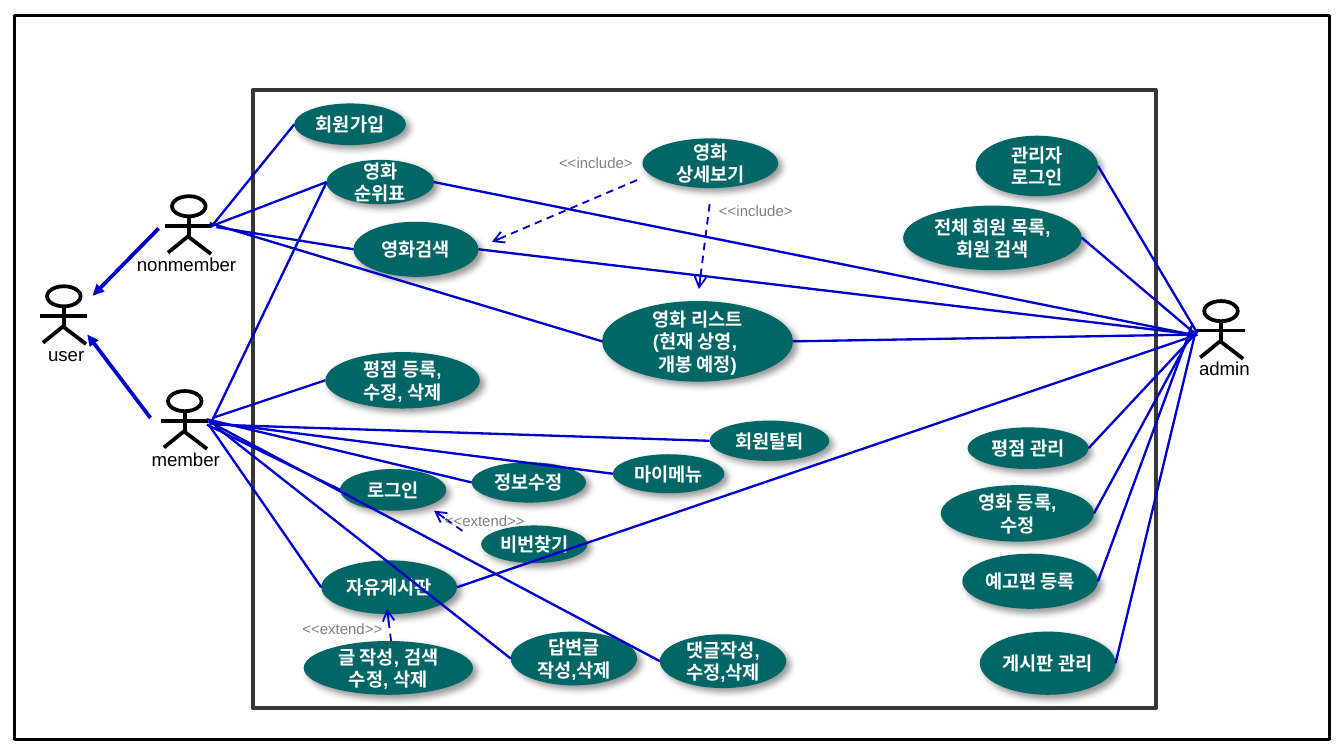
from lxml import etree
from pptx import Presentation
from pptx import util as u
from pptx.dml.color import RGBColor
from pptx.enum import dml, shapes, text
from pptx.oxml.ns import qn

SLIDE_W = u.Inches(10)
SLIDE_H = SLIDE_W * 9 // 16
COLS = 100
ROWS = COLS * 9 / 16
FONT = "Arial"
COLORS = {
    "ink": "000000",
    "boundary": "373737",
    "case": "006666",
    "case_text": "FFFFFF",
    "link": "0000CC",
    "stereotype": "808080",
}

USE_CASES = {
    "join": (21.9, 7.7, 8.3, 3.1, ["회원가입"]),
    "login": (25.3, 34.9, 7.9, 3.1, ["로그인"]),
    "find_password": (35.8, 39.1, 7.9, 2.8, ["비번찾기"]),
    "edit_info": (35.1, 34.4, 8.5, 3, ["정보수정"]),
    "leave": (52.8, 31.3, 8.9, 3, ["회원탈퇴"]),
    "search": (26.3, 16.5, 9.3, 4.1, ["영화검색"]),
    "detail": (47.8, 10.3, 10.1, 3.7, ["영화", "상세보기"]),
    "board": (23.9, 41.7, 10.1, 4, ["자유게시판"]),
    "movies": (44.8, 22.4, 14.2, 6, ["영화 리스트", "(현재 상영, ", "개봉 예정)"]),
    "rating": (24.2, 26.2, 11.5, 4.2, ["평점 등록, 수정, 삭제"]),
    "comment": (49.1, 47.2, 9.4, 4, ["댓글작성,", "수정,삭제"]),
    "add_movie": (70, 36.1, 11.4, 4.2, ["영화 등록, 수정"]),
    "manage_board": (72.9, 47, 10.1, 4.7, ["게시판 관리"]),
    "members": (67.2, 15.3, 13.3, 4.8, ["전체 회원 목록, 회원 검색"]),
    "manage_rating": (72, 31.8, 9, 3.1, ["평점 관리"]),
    "ranking": (24.3, 11.9, 8, 3.3, ["영화 순위표"]),
    "reply": (38, 47, 9.4, 4, ["답변글", "작성,삭제"]),
    "my_menu": (45.6, 33.8, 8.3, 2.9, ["마이메뉴"]),
    "write": (22.6, 47.7, 12.6, 4, ["글 작성, 검색 수정, 삭제"]),
    "trailer": (71.6, 41.2, 10.1, 4.1, ["예고편 등록"]),
    "admin_login": (72.6, 10.1, 9.1, 4.5, ["관리자 로그인"]),
}

ACTORS = [
    ("member", 12.5, 29.1, -2.2, 7.3),
    ("nonmember", 12.8, 14.6, -3.6, 9.8),
    ("user", 3.5, 21.3, -0.9, 4.7),
    ("admin", 89.6, 22.4, -1.4, 5.8),
]
LIMBS = [
    (-0.5, 2.2, 3, 2.2),
    (1.25, 1.5, 1.25, 3.2),
    (1.2, 3, 2.9, 4.3),
    (1.3, 2.9, -0.3, 4.2),
]

VISITOR_LINKS = [
    (15.7, 16.9, "join"), (15.8, 16.8, "ranking"),
    (16.1, 16.9, "search"), (15.6, 16.6, "movies"),
    (15.4, 31.6, "login"), (15.4, 31.2, "edit_info"),
    (15.5, 31.4, "my_menu"), (15.6, 31.7, "ranking"),
    (15.8, 31.1, "rating"), (15.6, 31.7, "board"),
    (16, 31.7, "reply"), (15.6, 31.4, "comment"),
    (16, 31.6, "leave"),
]
ADMIN_LINKS = [
    (89.1, 24.9, "board"), (88.2, 24.8, "ranking"),
    (89, 24.9, "members"), (89.1, 24.8, "admin_login"),
    (88.9, 24.9, "manage_rating"), (88.8, 24.6, "add_movie"),
    (88.7, 24.2, "trailer"), (89, 24.5, "manage_board"),
    (88.7, 24.9, "movies"), (89, 24.9, "search"),
]
GENERALIZATIONS = [(11.8, 17, 6.9, 22), (11.2, 31.1, 6.5, 24.9)]
DEPENDENCIES = [
    (34.4, 39.5, 32.3, 38),
    (52.8, 15.2, 52, 21.5),
    (47.4, 13.4, 36.6, 18),
    (29.1, 47.7, 28.8, 45.3),
]
STEREOTYPES = [
    (41.6, 11.4, 6, "<<include>"),
    (53.5, 15, 6, "<<include>"),
    (33.1, 38.1, 6.6, "<<extend>>"),
    (22.5, 46.1, 6.6, "<<extend>>"),
]


def col(n):
    return round(SLIDE_W * n / COLS)


def row(n):
    return round(SLIDE_H * n / ROWS)


def rgb(name):
    return RGBColor.from_string(COLORS[name])


def add_outline(parent, kind, box, color, width):
    x, y, w, h = box
    sp = parent.add_shape(kind, col(x), row(y), col(w), row(h))
    sp.shadow.inherit = False
    sp.fill.background()
    sp.line.color.rgb = rgb(color)
    sp.line.width = u.Pt(width)


def add_line(parent, ends, color="link", width=1.25, dashed=False, arrow=None):
    x1, y1, x2, y2 = ends
    cx = parent.add_connector(
        shapes.MSO_CONNECTOR.STRAIGHT, col(x1), row(y1), col(x2), row(y2))
    cx.line.color.rgb = rgb(color)
    cx.line.width = u.Pt(width)
    if dashed:
        cx.line.dash_style = dml.MSO_LINE.DASH
    sp_pr = cx._element.spPr
    if arrow:
        etree.SubElement(sp_pr.find(qn("a:ln")), qn("a:tailEnd"), type=arrow)
    etree.SubElement(sp_pr, qn("a:effectLst"))


def add_run(p, words, size, color, bold=False):
    r = p.add_run()
    r.text = words
    r.font.name = FONT
    r.font.size = u.Pt(size)
    r.font.bold = bold
    r.font.color.rgb = rgb(color)


def clear_margins(tf):
    tf.margin_left = tf.margin_right = tf.margin_top = tf.margin_bottom = 0


def add_soft_shadow(sp):
    sp.shadow.inherit = False
    effects = sp._element.spPr.find(qn("a:effectLst"))
    shadow = etree.SubElement(
        effects, qn("a:outerShdw"), blurRad=str(u.Pt(4)), dist=str(u.Pt(3)),
        dir="2700000", algn="tl", rotWithShape="0")
    tint = etree.SubElement(shadow, qn("a:srgbClr"), val=COLORS["ink"])
    etree.SubElement(tint, qn("a:alpha"), val="40000")


def add_use_case(parent, x, y, w, h, lines):
    sp = parent.add_shape(
        shapes.MSO_SHAPE.OVAL, col(x), row(y), col(w), row(h))
    sp.fill.solid()
    sp.fill.fore_color.rgb = rgb("case")
    sp.line.fill.background()
    add_soft_shadow(sp)
    tf = sp.text_frame
    tf.word_wrap = True
    tf.vertical_anchor = text.MSO_ANCHOR.MIDDLE
    clear_margins(tf)
    for i, words in enumerate(lines):
        p = tf.add_paragraph() if i else tf.paragraphs[0]
        p.alignment = text.PP_ALIGN.CENTER
        add_run(p, words, 10, "case_text", bold=True)


def add_label(parent, x, y, w, h, words, size, color):
    sp = parent.add_textbox(col(x), row(y), col(w), row(h))
    tf = sp.text_frame
    tf.word_wrap = False
    tf.auto_size = text.MSO_AUTO_SIZE.SHAPE_TO_FIT_TEXT
    add_run(tf.paragraphs[0], words, size, color)
    return tf


def add_actor(parent, name, x, y, label_dx, label_w):
    group = parent.add_group_shape().shapes
    add_outline(group, shapes.MSO_SHAPE.OVAL, (x, y, 2.5, 1.5), "ink", 2)
    for x1, y1, x2, y2 in LIMBS:
        add_line(group, (x + x1, y + y1, x + x2, y + y2), "ink", 2)
    tf = add_label(group, x + label_dx, y + 3.7, label_w, 2.7, name, 10, "ink")
    if name == "admin":
        tf.paragraphs[0].alignment = text.PP_ALIGN.CENTER


def side_middle(case, right=False):
    x, y, w, h, _ = USE_CASES[case]
    return x + w * right, y + h / 2


def main():
    prs = Presentation()
    prs.slide_width, prs.slide_height = SLIDE_W, SLIDE_H
    s = prs.slides.add_slide(prs.slide_layouts[6]).shapes
    rect = shapes.MSO_SHAPE.RECTANGLE
    add_outline(s, rect, (1.1, 1.15, 97.8, 53.9), "ink", 1.5)
    add_outline(s, rect, (18.8, 6.7, 67.2, 46), "boundary", 2)
    for case in USE_CASES.values():
        add_use_case(s, *case)
    for actor in ACTORS:
        add_actor(s, *actor)
    for ends in GENERALIZATIONS:
        add_line(s, ends, width=2, arrow="triangle")
    for x, y, case in VISITOR_LINKS:
        add_line(s, (x, y, *side_middle(case)))
    for x, y, case in ADMIN_LINKS:
        add_line(s, (x, y, *side_middle(case, right=True)))
    for ends in DEPENDENCIES:
        add_line(s, ends, width=1, dashed=True, arrow="arrow")
    for x, y, w, words in STEREOTYPES:
        clear_margins(add_label(s, x, y, w, 1.3, words, 8, "stereotype"))
    prs.save("out.pptx")


if __name__ == "__main__":
    main()
